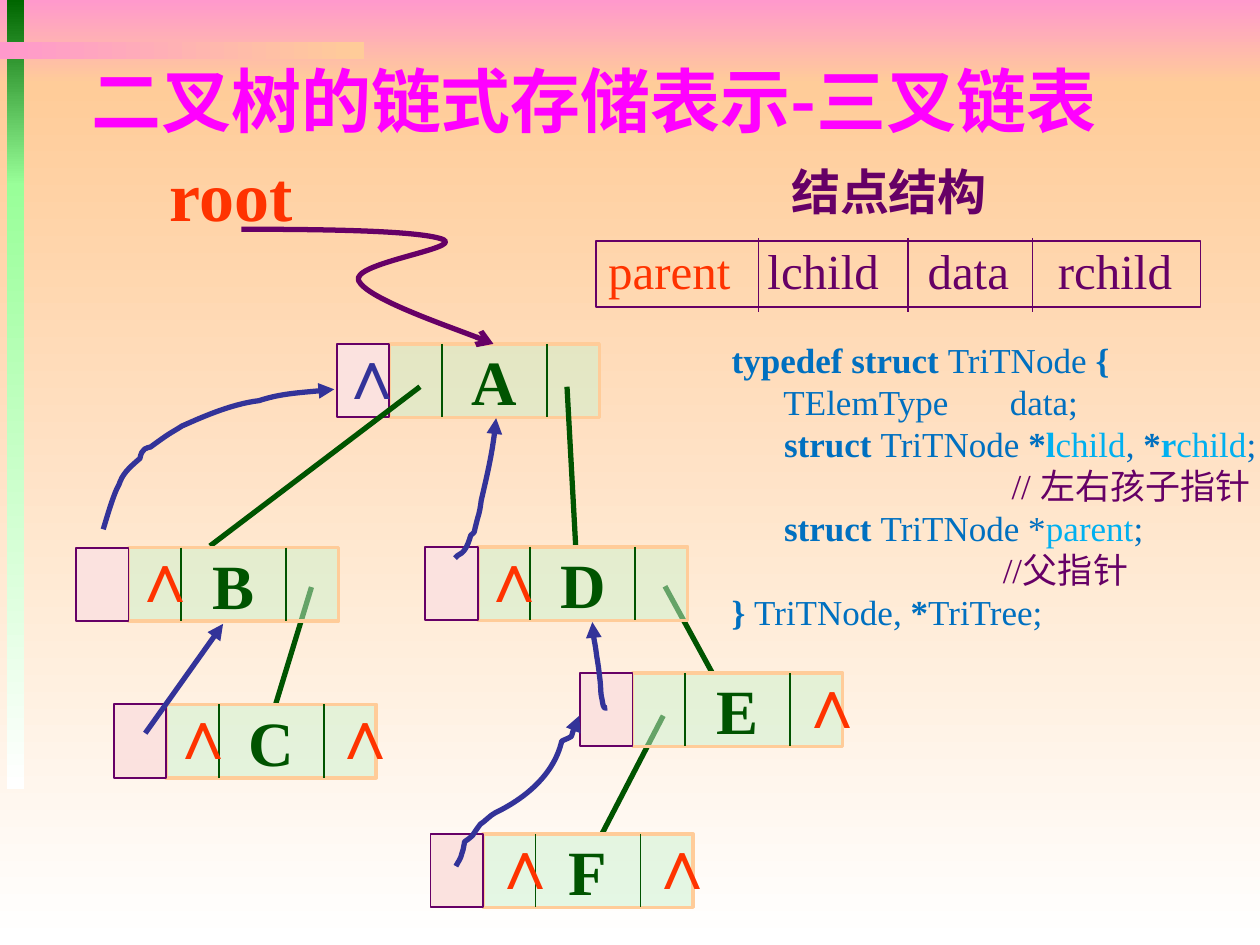
from lxml import etree
from pptx import Presentation
from pptx.dml.color import RGBColor
from pptx.enum import shapes, text
from pptx.oxml.ns import qn
from pptx.util import Pt

PINK = RGBColor(0xFF, 0x99, 0xCC)
PEACH = RGBColor(0xFF, 0xCC, 0x99)
WHITE = RGBColor(0xFF, 0xFF, 0xFF)
DEEP_GREEN = RGBColor(0x00, 0x66, 0x00)
LIGHT_GREEN = RGBColor(0x99, 0xFF, 0x99)
TREE_GREEN = RGBColor(0x00, 0x54, 0x00)
CELL_GREEN = RGBColor(0xCA, 0xF2, 0xCE)
PARENT_CELL = RGBColor(0xFB, 0xE2, 0xDF)
PURPLE = RGBColor(0x66, 0x00, 0x66)
RED = RGBColor(0xFF, 0x33, 0x00)
NAVY = RGBColor(0x33, 0x33, 0x99)
MAGENTA = RGBColor(0xFF, 0x00, 0xFF)
BLUE = RGBColor(0x00, 0x70, 0xC0)
CYAN = RGBColor(0x00, 0xB0, 0xF0)

SERIF = "Times New Roman"
CELL, NODE_HEIGHT = 30, 42

BANDS = [
    (0, 0, 720, 48, PINK, PEACH, 270),
    (0, 48, 720, 492, PEACH, WHITE, 270),
    (4, 0, 10, 106, DEEP_GREEN, LIGHT_GREEN, 270),
    (4, 105, 10, 346, LIGHT_GREEN, WHITE, 270),
    (0, 24, 208, 10, PINK, PEACH, 0),
]

NODES = {
    "A": (192.5, 196.5),
    "B": (43.5, 313),
    "D": (243, 312.5),
    "C": (65, 402.5),
    "E": (331.5, 384.5),
    "F": (246, 476.5),
}
NULL_OFFSETS = {"B": [24], "D": [24], "C": [24, 117], "E": [117], "F": [27, 117]}

BRANCHES = [
    (240, 221, 120, 312),
    (324, 221, 329, 312.5),
    (178, 335.5, 157.5, 402.5),
    (380, 335, 407, 384.5),
    (379, 409, 344, 476.5),
]

ROOT_CURVE = [
    (138, 131), (190, 131), (242, 132), (253.5, 137), (264, 142), (200, 150.5),
    (205, 160.5), (210, 170.5), (269, 191), (282, 196.5),
]
PARENT_CURVES = [
    [(59, 302.5), (61, 296), (65, 282), (68, 277), (70, 271), (73, 268), (80, 262),
     (81, 256), (84, 256), (86, 255.5), (99, 246), (97, 248), (104, 243.5),
     (112, 240), (131, 231), (148, 229), (160, 225), (177, 224), (191, 222.5)],
    [(260, 319), (260, 319), (261, 318), (261.5, 317.5), (265, 316), (267, 313),
     (269, 306), (272, 303), (270, 307), (273, 296), (274, 293), (274.5, 290),
     (275, 286), (278.5, 271), (282, 256), (283.5, 239)],
    [(347, 404.5), (345.5, 404.5), (345, 406), (344, 399.5), (343, 395), (343.5, 394.5),
     (343, 389.5), (342, 381), (342, 381), (341, 375), (340, 367), (339, 365), (338.5, 355.5)],
    [(260.5, 495), (262, 492), (263, 491.5), (264, 487.5), (265, 485), (265, 483),
     (265.5, 481), (267, 479.5), (269, 479), (270, 477.5), (271.5, 475), (273, 473),
     (274.5, 471), (277, 469.5), (280, 466), (283, 464.5), (296.5, 458), (316, 445),
     (321, 423.5), (328.5, 420), (324.5, 423.5), (331, 409)],
]

FIELDS = [[("parent\t", RED, False), ("lchild\tdata\trchild", PURPLE, False)]]
CODE = [
    [("typedef struct ", BLUE, True), ("TriTNode ", BLUE, False), ("{", BLUE, True)],
    [("      TElemType\tdata;", BLUE, False)],
    [("      struct ", BLUE, True), ("TriTNode ", BLUE, False), ("*", BLUE, True),
     ("l", CYAN, True), ("child", CYAN, False), (", ", BLUE, False), ("*", BLUE, True),
     ("r", CYAN, True), ("child", CYAN, False), (";", BLUE, False)],
    [(" " * 32 + "// 左右孩子指针", PURPLE, False)],
    [("      struct ", BLUE, True), ("TriTNode *", BLUE, False), ("parent", CYAN, False),
     (";", BLUE, False)],
    [(" " * 31 + "//父指针", PURPLE, False)],
    [("} ", BLUE, True), ("TriTNode, ", BLUE, False), ("*", BLUE, True), ("TriTree;", BLUE, False)],
]


def add_box(slide, x, y, width, height):
    box = slide.shapes.add_shape(shapes.MSO_SHAPE.RECTANGLE, Pt(x), Pt(y), Pt(width), Pt(height))
    box.shadow.inherit = False
    return box


def set_line(shape, color, weight, arrow=None):
    shape.line.color.rgb = color
    shape.line.width = Pt(weight)
    if arrow:
        ln = shape._element.spPr.find(qn("a:ln"))
        etree.SubElement(ln, qn("a:tailEnd"), type=arrow)


def add_band(slide, x, y, width, height, start, end, angle):
    band = add_box(slide, x, y, width, height)
    band.line.fill.background()
    band.fill.gradient()
    band.fill.gradient_angle = angle
    for stop, color, position in zip(band.fill.gradient_stops, (start, end), (0, 1)):
        stop.color.rgb = color
        stop.position = position


def add_line(slide, x1, y1, x2, y2, color, weight, arrow=None):
    line = slide.shapes.add_connector(
        shapes.MSO_CONNECTOR.STRAIGHT, Pt(x1), Pt(y1), Pt(x2), Pt(y2))
    set_line(line, color, weight, arrow)
    etree.SubElement(line._element.spPr, qn("a:effectLst"))


def add_curve(slide, points, color, arrow):
    start, *rest = [(Pt(x), Pt(y)) for x, y in points]
    builder = slide.shapes.build_freeform(*start, scale=1.0)
    builder.add_line_segments(rest, close=False)
    curve = builder.convert_to_shape()
    outline = curve._element.find(".//" + qn("a:path"))
    segments = outline.findall(qn("a:lnTo"))
    for i in range(0, len(segments), 3):
        bezier = etree.SubElement(outline, qn("a:cubicBezTo"))
        for segment in segments[i:i + 3]:
            bezier.append(segment[0])
            outline.remove(segment)
    curve.shadow.inherit = False
    curve.fill.background()
    set_line(curve, color, 3, arrow)


def add_text(slide, x, y, width, height, lines, size, tabs=()):
    box = slide.shapes.add_textbox(Pt(x), Pt(y), Pt(width), Pt(height))
    frame = box.text_frame
    frame.word_wrap = bool(tabs)
    frame.auto_size = text.MSO_AUTO_SIZE.SHAPE_TO_FIT_TEXT
    for i, line in enumerate(lines):
        paragraph = frame.add_paragraph() if i else frame.paragraphs[0]
        if tabs:
            stops = etree.SubElement(paragraph._p.get_or_add_pPr(), qn("a:tabLst"))
            for tab in tabs:
                etree.SubElement(stops, qn("a:tab"), pos=str(Pt(tab)), algn="l")
        paragraph.font.size = Pt(size)
        paragraph.font.name = SERIF
        for words, color, bold in line:
            run = paragraph.add_run()
            run.text = words
            run.font.color.rgb = color
            run.font.bold = bold


def add_node(slide, label):
    x, y = NODES[label]
    body = add_box(slide, x + CELL, y, 4 * CELL, NODE_HEIGHT)
    body.fill.solid()
    body.fill.fore_color.rgb = CELL_GREEN
    tint = body._element.spPr.find(qn("a:solidFill"))[0]
    etree.SubElement(tint, qn("a:alpha"), val="50000")
    set_line(body, PEACH, 2)
    body.text_frame.word_wrap = False
    body.text_frame.vertical_anchor = text.MSO_ANCHOR.MIDDLE
    paragraph = body.text_frame.paragraphs[0]
    paragraph.text = label
    paragraph.alignment = text.PP_ALIGN.CENTER
    paragraph.font.size = Pt(36)
    paragraph.font.name = SERIF
    paragraph.font.bold = True
    paragraph.font.color.rgb = TREE_GREEN
    for cells in (2, 4):
        divider = x + cells * CELL
        add_line(slide, divider, y, divider, y + NODE_HEIGHT, TREE_GREEN, 1)
    parent = add_box(slide, x, y, CELL, NODE_HEIGHT)
    parent.fill.solid()
    parent.fill.fore_color.rgb = PARENT_CELL
    set_line(parent, PURPLE, 1)


def add_null(slide, label, offset, color):
    x, y = NODES[label]
    add_text(slide, x + offset, y - 12, 39, 55.5, [[("∧", color, True)]], 40)


def add_tree(slide):
    add_node(slide, "A")
    add_curve(slide, ROOT_CURVE, PURPLE, "arrow")
    add_text(slide, 90, 83, 85.5, 55.5, [[("root", RED, True)]], 40)
    for branch in BRANCHES:
        add_line(slide, *branch, TREE_GREEN, 3)
    for label, offsets in NULL_OFFSETS.items():
        add_node(slide, label)
        for offset in offsets:
            add_null(slide, label, offset, RED)
    add_null(slide, "A", -6.5, NAVY)
    for points in PARENT_CURVES:
        add_curve(slide, points, NAVY, "triangle")
    add_line(slide, 83, 419, 127.5, 356.5, NAVY, 3, "triangle")


def add_structure(slide):
    add_text(slide, 445, 88.5, 127.5, 41, [[("结点结构", PURPLE, True)]], 28)
    add_text(slide, 340.5, 134, 345.5, 41, FIELDS, 28, (91, 182.5, 257))
    frame = add_box(slide, 340.5, 137.5, 345.5, 38)
    frame.fill.background()
    set_line(frame, PURPLE, 1)
    for x in (433.5, 519, 590):
        add_line(slide, x, 136, x, 178.5, PURPLE, 1)
    add_text(slide, 411, 190, 333.5, 177, CODE, 20, (159,))


def format_title(slide):
    title = slide.shapes.title
    title.left, title.top, title.width, title.height = Pt(45), Pt(29), Pt(622), Pt(55.5)
    title.text_frame.word_wrap = False
    title.text_frame.vertical_anchor = text.MSO_ANCHOR.MIDDLE
    paragraph = title.text_frame.paragraphs[0]
    paragraph.text = "二叉树的链式存储表示-三叉链表"
    paragraph.alignment = text.PP_ALIGN.LEFT
    paragraph.font.size = Pt(40)
    paragraph.font.name = "Noto Sans CJK SC"
    paragraph.font.bold = True
    paragraph.font.color.rgb = MAGENTA
    slide.shapes._spTree.append(title._element)


def main():
    deck = Presentation()
    deck.slide_width, deck.slide_height = Pt(720), Pt(540)
    slide = deck.slides.add_slide(deck.slide_layouts[5])
    for band in BANDS:
        add_band(slide, *band)
    add_tree(slide)
    add_structure(slide)
    format_title(slide)
    deck.save("out.pptx")


if __name__ == "__main__":
    main()
